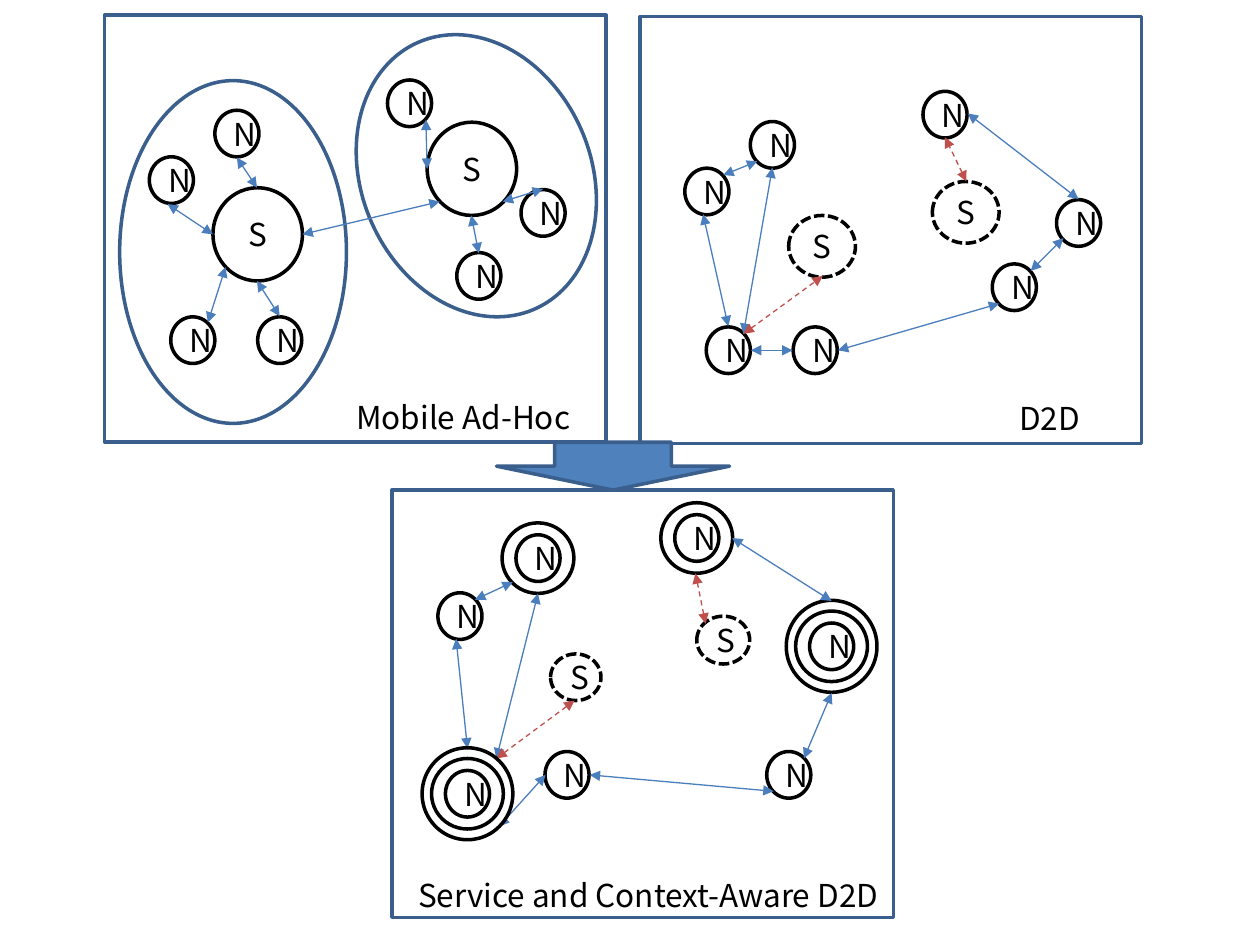
from lxml import etree
from pptx import Presentation
from pptx.dml.color import RGBColor
from pptx.enum import dml, shapes, text
from pptx.oxml import ns
from pptx.util import Inches, Pt

FONT = "Noto Sans CJK KR"
BLACK = RGBColor(0x00, 0x00, 0x00)
WHITE = RGBColor(0xFF, 0xFF, 0xFF)
BLUE = RGBColor(0x4F, 0x81, 0xBD)
NAVY = RGBColor(0x3A, 0x5F, 0x8C)
LINK_BLUE = RGBColor(0x4B, 0x7E, 0xBC)
SERVICE_RED = RGBColor(0xC0, 0x50, 0x4D)

PANEL_SIZE = (3.98, 3.39)
NODE_SIZE = (0.35, 0.37)
SERVER_SIZE = (0.71, 0.74)
RING_SIZES = [(0.57, 0.56), (0.72, 0.73)]

# Node: centre x, centre y, number of rings. Server: left, top, width, height.
AD_HOC = {
    "label": ("Mobile Ad-Hoc", 2.73, 3.11, 1.96),
    "corner": (0.83, 0.12),
    "clusters": [(0.95, 0.64, 1.8, 2.72, 0), (2.87, 0.24, 1.82, 2.31, 336.5)],
    "servers": [(1.69, 1.49, *SERVER_SIZE), (3.39, 0.97, *SERVER_SIZE)],
    "nodes": [(1.88, 1.06, 0), (1.36, 1.43, 0), (1.53, 2.7, 0), (2.22, 2.7, 0),
              (4.31, 1.69, 0), (3.8, 2.19, 0), (3.25, 0.82, 0)],
    "links": [(1.88, 1.25, 2.04, 1.49), (1.33, 1.62, 1.69, 1.86),
              (1.65, 2.56, 1.79, 2.12), (2.04, 2.23, 2.22, 2.51),
              (3.39, 1.34, 3.38, 0.95), (3.8, 2.01, 3.74, 1.71),
              (4.31, 1.5, 3.99, 1.6), (3.49, 1.6, 2.4, 1.86)],
}
D2D = {
    "label": ("D2D", 7.99, 3.12, 0.7),
    "corner": (5.08, 0.13),
    "services": [(6.26, 1.71, 0.53, 0.49), (7.4, 1.44, 0.53, 0.49)],
    "nodes": [(6.13, 1.15, 0), (5.61, 1.52, 0), (5.78, 2.78, 0), (6.47, 2.78, 0),
              (8.56, 1.77, 0), (8.05, 2.28, 0), (7.5, 0.91, 0)],
    "links": [(5.74, 1.39, 6.01, 1.28), (5.58, 1.7, 5.78, 2.59),
              (5.96, 2.78, 6.29, 2.78), (7.93, 2.41, 6.65, 2.78),
              (8.56, 1.58, 7.68, 0.9), (6.13, 1.33, 5.9, 2.65),
              (8.44, 1.89, 8.18, 2.15)],
    "service_links": [(7.67, 1.44, 7.5, 1.09), (5.9, 2.65, 6.53, 2.19)],
}
CONTEXT_AWARE = {
    "label": ("Service and Context-Aware D2D", 3.22, 6.9, 3.88),
    "corner": (3.11, 3.89),
    "services": [(4.37, 5.19, 0.4, 0.37), (5.53, 4.89, 0.42, 0.38)],
    "nodes": [(4.27, 4.43, 1), (3.65, 4.89, 0), (4.5, 6.15, 0),
              (6.6, 5.13, 2), (6.26, 6.15, 0), (5.53, 4.27, 1)],
    "links": [(3.77, 4.76, 4.07, 4.62), (3.62, 5.07, 3.71, 5.94),
              (3.96, 6.56, 4.33, 6.15), (6.14, 6.28, 4.68, 6.15),
              (6.6, 4.77, 5.81, 4.27), (4.27, 4.71, 3.94, 6.02),
              (6.6, 5.5, 6.38, 6.02)],
    "service_links": [(5.6, 4.95, 5.52, 4.55), (3.94, 6.02, 4.56, 5.56)],
    "front_nodes": [(3.71, 6.3, 2)],
}
ARROW = (3.94, 3.51, 1.85, 0.38)


def style_text(frame):
    font = frame.paragraphs[0].runs[0].font
    font.name, font.size, font.color.rgb = FONT, Pt(18), BLACK


def add_outline(slide, kind, box, line_color, fill=None):
    shape = slide.shapes.add_shape(kind, *map(Inches, box))
    shape.shadow.inherit = False
    if fill is None:
        shape.fill.background()
    else:
        shape.fill.solid()
        shape.fill.fore_color.rgb = fill
    shape.line.color.rgb = line_color
    shape.line.width = Pt(2)
    return shape


def add_circle(slide, box, letter="", dashed=False):
    circle = add_outline(slide, shapes.MSO_SHAPE.OVAL, box, BLACK, WHITE)
    if dashed:
        circle.line.dash_style = dml.MSO_LINE.SQUARE_DOT
    if letter:
        frame = circle.text_frame
        frame.text = letter
        frame.vertical_anchor = text.MSO_ANCHOR.MIDDLE
        frame.paragraphs[0].alignment = text.PP_ALIGN.CENTER
        style_text(frame)


def add_node(slide, x, y, rings):
    sizes = RING_SIZES[:rings][::-1] + [NODE_SIZE]
    for index, (width, height) in enumerate(sizes):
        box = (x - width / 2, y - height / 2, width, height)
        add_circle(slide, box, "N" if index == rings else "")


def add_link(slide, ends, color, dashed=False):
    link = slide.shapes.add_connector(shapes.MSO_CONNECTOR.STRAIGHT, *map(Inches, ends))
    link.line.color.rgb = color
    link.line.width = Pt(0.75)
    if dashed:
        link.line.dash_style = dml.MSO_LINE.DASH
    outline = link.line._get_or_add_ln()
    for end in ("a:headEnd", "a:tailEnd"):
        etree.SubElement(outline, ns.qn(end), type="triangle")
    etree.SubElement(link._element.spPr, ns.qn("a:effectLst"))


def add_label(slide, wording, left, top, width):
    label = slide.shapes.add_textbox(*map(Inches, (left, top, width, 0.4)))
    frame = label.text_frame
    frame.text = wording
    frame.word_wrap = False
    frame.auto_size = text.MSO_AUTO_SIZE.SHAPE_TO_FIT_TEXT
    style_text(frame)


def add_panel(slide, panel):
    add_outline(slide, shapes.MSO_SHAPE.RECTANGLE, panel["corner"] + PANEL_SIZE, NAVY)
    for *box, rotation in panel.get("clusters", []):
        add_outline(slide, shapes.MSO_SHAPE.OVAL, box, NAVY).rotation = rotation
    for box in panel.get("servers", []):
        add_circle(slide, box, "S")
    for box in panel.get("services", []):
        add_circle(slide, box, "S", dashed=True)
    for node in panel["nodes"]:
        add_node(slide, *node)
    for ends in panel["links"]:
        add_link(slide, ends, LINK_BLUE)
    for ends in panel.get("service_links", []):
        add_link(slide, ends, SERVICE_RED, dashed=True)
    for node in panel.get("front_nodes", []):
        add_node(slide, *node)
    add_label(slide, *panel["label"])


def main():
    presentation = Presentation()
    presentation.slide_width, presentation.slide_height = Inches(10), Inches(7.5)
    slide = presentation.slides.add_slide(presentation.slide_layouts[6])
    for panel in (AD_HOC, D2D, CONTEXT_AWARE):
        add_panel(slide, panel)
    add_outline(slide, shapes.MSO_SHAPE.DOWN_ARROW, ARROW, NAVY, BLUE)
    presentation.save("out.pptx")


if __name__ == "__main__":
    main()
